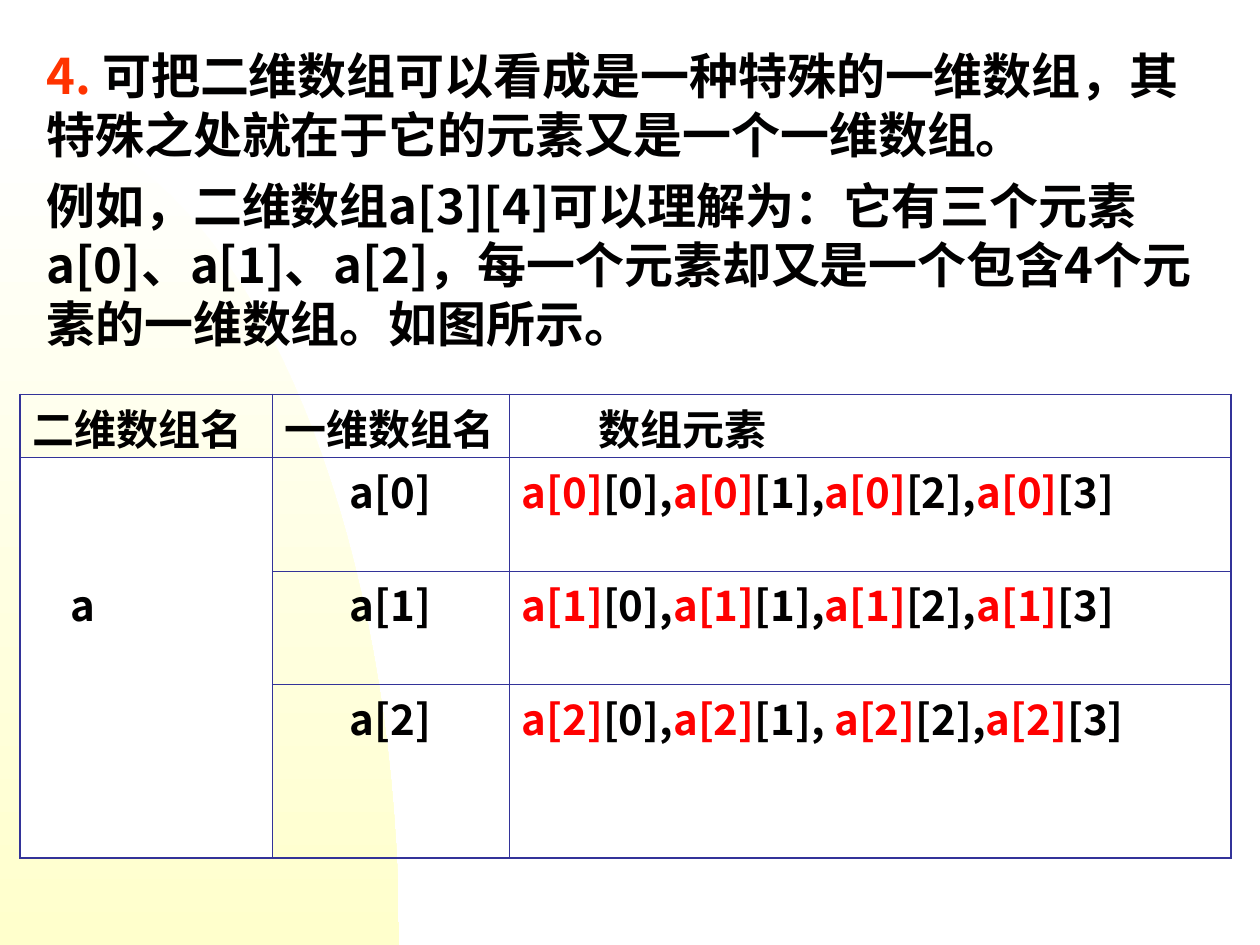
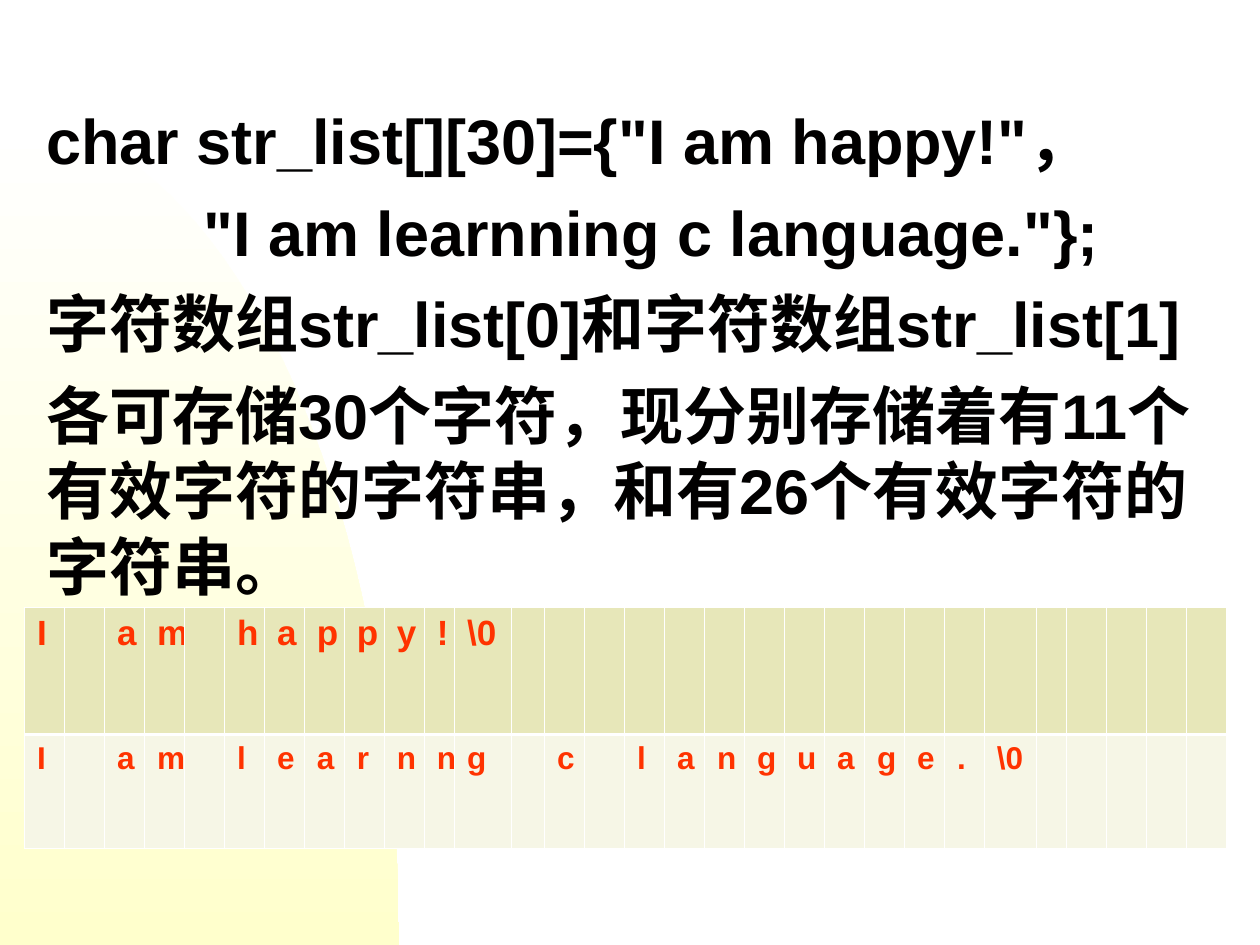
from lxml.etree import SubElement
from pptx import Presentation
from pptx.dml.color import RGBColor
from pptx.enum.text import PP_ALIGN
from pptx.oxml.ns import qn
from pptx.util import Pt

BLACK, RED, ORANGE = "010000", "FF0000", "FF3300"
WHITE, NAVY = "FFFFFF", "333399"
CJK, LATIN = "Noto Sans CJK SC", "Arial"


def add_text(paragraph, text, size, font=CJK, color=BLACK, line=None, before=0, align=None):
    """Append a bold run and set the spacing of its paragraph."""
    run = paragraph.add_run()
    run.text = text
    run.font.size, run.font.bold, run.font.name = Pt(size), True, font
    run.font.color.rgb = RGBColor.from_string(color)
    if font == CJK:
        SubElement(run.font._element, qn("a:ea"), typeface=CJK)
    if line:
        paragraph.line_spacing = Pt(line)
    if before:
        paragraph.space_before = Pt(before)
    if align is not None:
        paragraph.alignment = align


def set_borders(cell, color, left, right, top, bottom):
    """Draw the four sides of a cell; a width of 0 hides the side."""
    properties = cell._tc.get_or_add_tcPr()
    for side, width in zip("LRTB", (left, right, top, bottom)):
        line = SubElement(properties, qn(f"a:ln{side}"), w=str(Pt(width)))
        if width:
            SubElement(SubElement(line, qn("a:solidFill")), qn("a:srgbClr"), val=color)
        else:
            SubElement(line, qn("a:noFill"))


prs = Presentation()
prs.slide_width, prs.slide_height = Pt(720), Pt(540)
blank = prs.slide_layouts[6]
array_slide = prs.slides.add_slide(blank)
string_slide = prs.slides.add_slide(blank)

# Shared background: a pale quarter curve on the slide master
curve = []
for step in range(1, 41):
    t = step / 40
    x = 3 * (1 - t) ** 2 * t * 126 + 3 * (1 - t) * t ** 2 * 228 + t ** 3 * 228
    y = ((1 - t) ** 3 + 3 * (1 - t) ** 2 * t) * 66.4 + 3 * (1 - t) * t ** 2 * 278.6 + t ** 3 * 540
    curve.append((Pt(x), Pt(y)))
outline = array_slide.shapes.build_freeform(0, Pt(66.4))
outline.add_line_segments(curve + [(0, Pt(540))], close=True)
glow = outline.convert_to_shape()
glow.shadow.inherit = False
glow.line.fill.background()
glow.fill.gradient()
glow.fill.gradient_angle = 270
for stop, color in zip(glow.fill.gradient_stops, (WHITE, "FFFFCC")):
    stop.color.rgb = RGBColor.from_string(color)
prs.slide_master.shapes.element.insert(2, glow.element)

# Slide 1: a two-dimensional array as an array of arrays
explanation = array_slide.shapes.add_textbox(Pt(19.4), Pt(20.2), Pt(680.4), Pt(182)).text_frame
explanation.word_wrap = True
explanation.margin_top = Pt(6)
point = explanation.paragraphs[0]
add_text(point, "4. ", 28, color=ORANGE, line=33.6)
add_text(point, "可把二维数组可以看成是一种特殊的一维数组，其特殊之处就在于它的元素又是一个一维数组。", 28)
add_text(explanation.add_paragraph(),
         "例如，二维数组a[3][4]可以理解为：它有三个元素a[0]、a[1]、a[2]，"
         "每一个元素却又是一个包含4个元素的一维数组。如图所示。", 28, line=33.6, before=7)

column_widths = (144, 135.4, 412.6)
row_heights = (36, 64.8, 64.8, 99.4)
elements = array_slide.shapes.add_table(
    4, 3, Pt(11.5), Pt(225.4), Pt(sum(column_widths)), Pt(sum(row_heights))).table
elements.first_row = elements.horz_banding = False
for column, width in zip(elements.columns, column_widths):
    column.width = Pt(width)
for row, height in zip(elements.rows, row_heights):
    row.height = Pt(height)

THIN, THICK = 0.45, 1.08
for r in range(4):
    for c in range(3):
        cell = elements.cell(r, c)
        open_top = c == 0 and r > 1
        open_bottom = c == 0 and r in (1, 2)
        set_borders(cell, NAVY,
                    left=THICK if c == 0 else THIN,
                    right=THICK if c == 2 else THIN,
                    top=THICK if r == 0 else 0 if open_top else THIN,
                    bottom=THICK if r == 3 else 0 if open_bottom else THIN)
        if c == 0 and r > 0:
            cell.fill.solid()
            cell.fill.fore_color.rgb = RGBColor.from_string(WHITE)
        else:
            cell.fill.background()
        cell.margin_top, cell.margin_bottom = Pt(7.2), 0

for c, heading in enumerate(("二维数组名", "一维数组名", "数组元素")):
    add_text(elements.cell(0, c).text_frame.paragraphs[0], heading, 24, line=28.8)
elements.cell(0, 2).margin_left = Pt(51)
add_text(elements.cell(2, 0).text_frame.paragraphs[0], "a", 24, line=28.8)
elements.cell(2, 0).margin_left = Pt(28.6)

for i in range(3):
    row_name = f"a[{i}]"
    add_text(elements.cell(i + 1, 1).text_frame.paragraphs[0], row_name, 24,
             line=28.8, align=PP_ALIGN.CENTER)
    members = elements.cell(i + 1, 2).text_frame.paragraphs[0]
    separators = (",", ", " if i == 2 else ",", ",", "")
    for j, separator in enumerate(separators):
        add_text(members, row_name, 24, color=RED, line=28.8)
        add_text(members, f"[{j}]{separator}", 24)

# Slide 2: an array of strings and its storage
code = string_slide.shapes.add_textbox(Pt(19.4), Pt(54.7), Pt(700.6), Pt(293.8)).text_frame
code.word_wrap = True
code_lines = (
    'char str_list[][30]={"I am happy!"，',
    '         "I am learnning c language."};',
    "字符数组str_list[0]和字符数组str_list[1]",
    "各可存储30个字符，现分别存储着有11个有效字符的字符串，和有26个有效字符的字符串。",
)
for i, text in enumerate(code_lines):
    paragraph = code.add_paragraph() if i else code.paragraphs[0]
    add_text(paragraph, text, 36, font=LATIN, line=43.2, before=9 if i else 0)

special_widths = {10: 17.1, 11: 32.6, 12: 18.9, 24: 29.7, 25: 17.1}
cell_widths = [special_widths.get(c, 22.86) for c in range(30)]
storage = string_slide.shapes.add_table(
    2, 30, Pt(14), Pt(347.2), Pt(sum(cell_widths)), Pt(137.8)).table
storage.first_row = storage.horz_banding = False
for column, width in zip(storage.columns, cell_widths):
    column.width = Pt(width)

stored_strings = (
    ("I am happy!", 20, "E7E7B9", 72.6, 0.45, 1.47),
    ("I am learnng c language.", 18, "F6F6E6", 65.2, 1.47, 0.45),
)
for r, (string, size, shade, height, top, bottom) in enumerate(stored_strings):
    storage.rows[r].height = Pt(height)
    characters = [*string, "\\0"]
    for c in range(30):
        cell = storage.cell(r, c)
        set_borders(cell, WHITE, left=0.45, right=0.45, top=top, bottom=bottom)
        cell.fill.solid()
        cell.fill.fore_color.rgb = RGBColor.from_string(shade)
        if c < len(characters) and characters[c] != " ":
            add_text(cell.text_frame.paragraphs[0], characters[c], size, font=LATIN, color=ORANGE)

prs.save("out.pptx")
